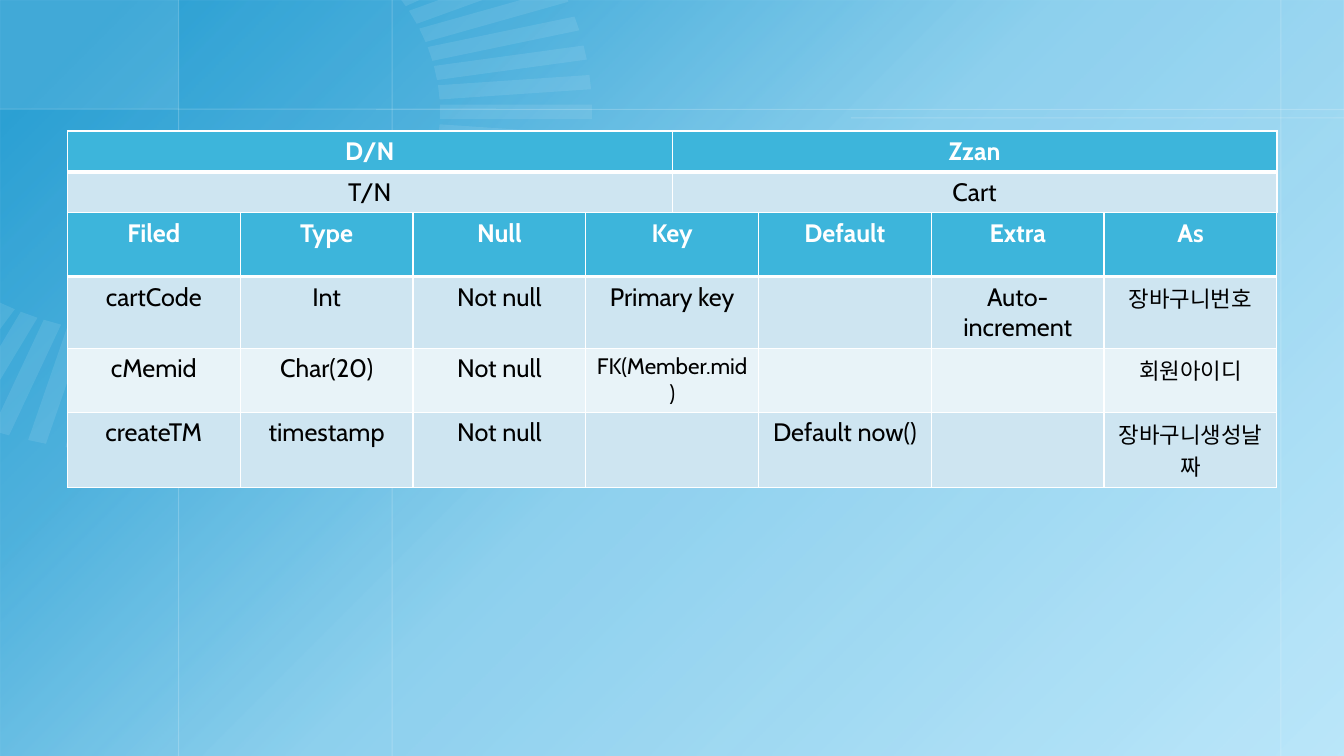
from dataclasses import dataclass
from math import cos, radians, sin

from lxml.etree import SubElement
from pptx import Presentation
from pptx.dml.color import RGBColor
from pptx.enum.shapes import MSO_CONNECTOR, MSO_SHAPE
from pptx.enum.text import PP_ALIGN
from pptx.oxml.ns import qn
from pptx.util import Cm, Pt


@dataclass(frozen=True)
class Theme:
    font: str = "Cabin"
    body_size: int = 18
    small_size: int = 16
    sky: str = "BCE7FA"
    deep_blue: str = "0F92CC"
    white: str = "FFFFFF"
    black: str = "000000"
    ray: str = "F2FAFE"
    header: str = "3DB5DB"
    bands: tuple = ("CEE5F1", "E8F3F8")
    thin: float = 1
    thick: float = 3
    guide: float = 0.75


SLIDE_WIDTH, SLIDE_HEIGHT = 33.87, 19.05
TABLE_LEFT, TABLE_WIDTH = 1.7, 30.48
NAME_ROWS = [["D/N", "Zzan"], ["T/N", "Cart"]]
FIELD_ROWS = [
    ["Filed", "Type", "Null", "Key", "Default", "Extra", "As"],
    ["cartCode", "Int", "Not null", "Primary key", "", "Auto-increment", "장바구니번호"],
    ["cMemid", "Char(20)", "Not null", "FK(Member.mid)", "", "", "회원아이디"],
    ["createTM", "timestamp", "Not null", "", "Default now()", "", "장바구니생성날짜"],
]
SMALL_TEXTS = {"장바구니번호", "FK(Member.mid)", "회원아이디", "장바구니생성날짜"}
# Gradient stops: position and opacity, both in percent
GLOW_STOPS = [(6, 83), (26, 63), (50, 27), (100, 0)]
GUIDE_LINES = [
    (4.5, 0, 4.5, SLIDE_HEIGHT),
    (32.28, 0, 32.28, SLIDE_HEIGHT),
    (9.88, 0, 9.88, SLIDE_HEIGHT),
    (0, 2.75, SLIDE_WIDTH, 2.76),
    (21.44, 2.97, SLIDE_WIDTH, 2.97),
]


def add_alpha(color_element, percent):
    SubElement(color_element, qn("a:alpha"), val=str(percent * 1000))


def clip_at_zero(points, axis):
    """Cut away the part of a polygon with negative coordinates on one axis."""
    kept = []
    for start, end in zip(points, points[1:] + points[:1]):
        if start[axis] >= 0:
            kept.append(start)
        if (start[axis] >= 0) != (end[axis] >= 0):
            share = start[axis] / (start[axis] - end[axis])
            kept.append(tuple(a + share * (b - a) for a, b in zip(start, end)))
    return kept


def ray_outline(degrees):
    """Corners of one dial ray: a bar on a circle, stretched sideways."""
    center_x, center_y, stretch = 3.81, 2.82, 1.29
    inner, outer, half_width = 5.64, 8.61, 0.18
    c, s = cos(radians(degrees)), sin(radians(degrees))
    bar = [(inner, -half_width), (outer, -half_width),
           (outer, half_width), (inner, half_width)]
    corners = [(center_x + stretch * (r * c - w * s), center_y + r * s + w * c)
               for r, w in bar]
    return clip_at_zero(clip_at_zero(corners, 0), 1)


class SlideBuilder:
    def __init__(self, slide, theme):
        self.slide = slide
        self.theme = theme

    def background(self):
        fill = self.slide.background.fill
        fill.solid()
        fill.fore_color.rgb = RGBColor.from_string(self.theme.sky)

    def paint(self, shape, color, opacity):
        shape.shadow.inherit = False
        shape.line.fill.background()
        shape.fill.solid()
        shape.fill.fore_color.rgb = RGBColor.from_string(color)
        add_alpha(shape._element.spPr.find(".//" + qn("a:srgbClr")), opacity)

    def rectangle(self, width, height):
        return self.slide.shapes.add_shape(
            MSO_SHAPE.RECTANGLE, 0, 0, Cm(width), Cm(height))

    def glow(self):
        glow = self.rectangle(SLIDE_WIDTH, SLIDE_HEIGHT)
        glow.shadow.inherit = False
        glow.line.fill.background()
        glow.fill.gradient()
        glow.fill.gradient_angle = 315
        stops = glow._element.spPr.find(".//" + qn("a:gsLst"))
        stops.clear()
        for position, opacity in GLOW_STOPS:
            stop = SubElement(stops, qn("a:gs"), pos=str(position * 1000))
            color = SubElement(stop, qn("a:srgbClr"), val=self.theme.deep_blue)
            add_alpha(color, opacity)

    def corner(self, width, height):
        self.paint(self.rectangle(width, height), self.theme.white, 10)

    def guide_line(self, x1, y1, x2, y2):
        guide = self.slide.shapes.add_connector(
            MSO_CONNECTOR.STRAIGHT, Cm(x1), Cm(y1), Cm(x2), Cm(y2))
        guide.line.width = Pt(self.theme.guide)
        guide.line.color.rgb = RGBColor.from_string(self.theme.white)
        properties = guide._element.spPr
        add_alpha(properties.find(".//" + qn("a:srgbClr")), 20)
        SubElement(properties, qn("a:effectLst"))

    def dial(self):
        dial = self.slide.shapes.add_group_shape()
        for degrees in range(-30, 121, 5):
            corners = [(Cm(x), Cm(y)) for x, y in ray_outline(degrees)]
            builder = dial.shapes.build_freeform(*corners[0])
            builder.add_line_segments(corners[1:], close=True)
            self.paint(builder.convert_to_shape(), self.theme.ray, 10)

    def table(self, rows, top, row_height):
        table = self.slide.shapes.add_table(
            len(rows), len(rows[0]), Cm(TABLE_LEFT), Cm(top),
            Cm(TABLE_WIDTH), Cm(row_height * len(rows))).table
        table.horz_banding = False
        for column in table.columns:
            column.width = Cm(TABLE_WIDTH / len(rows[0]))
        for r, texts in enumerate(rows):
            table.rows[r].height = Cm(row_height)
            for c, text in enumerate(texts):
                self.cell(table.cell(r, c), text, r)

    def cell(self, cell, text, row):
        theme = self.theme
        is_header = row == 0
        self.borders(cell, row)
        cell.fill.solid()
        cell.fill.fore_color.rgb = RGBColor.from_string(
            theme.header if is_header else theme.bands[(row - 1) % 2])
        cell.text_frame.text = text
        paragraph = cell.text_frame.paragraphs[0]
        paragraph.alignment = PP_ALIGN.CENTER
        for run in paragraph.runs:
            run.font.name = theme.font
            run.font.size = Pt(theme.small_size if text in SMALL_TEXTS else theme.body_size)
            run.font.bold = is_header
            run.font.color.rgb = RGBColor.from_string(
                theme.white if is_header else theme.black)

    def borders(self, cell, row):
        """Thin white borders, with a thick one between header and body."""
        properties = cell._tc.get_or_add_tcPr()
        thick_side = {0: "B", 1: "T"}.get(row)
        for side in "LRTB":
            width = self.theme.thick if side == thick_side else self.theme.thin
            border = SubElement(properties, qn(f"a:ln{side}"), w=str(Pt(width)))
            fill = SubElement(border, qn("a:solidFill"))
            SubElement(fill, qn("a:srgbClr"), val=self.theme.white)


def main():
    presentation = Presentation()
    presentation.slide_width = Cm(SLIDE_WIDTH)
    presentation.slide_height = Cm(SLIDE_HEIGHT)
    slide = presentation.slides.add_slide(presentation.slide_layouts[6])
    builder = SlideBuilder(slide, Theme())
    builder.background()
    builder.glow()
    builder.corner(4.5, 2.75)
    for ends in GUIDE_LINES:
        builder.guide_line(*ends)
    builder.dial()
    builder.table(NAME_ROWS, top=3.3, row_height=1.03)
    builder.table(FIELD_ROWS, top=5.36, row_height=1.61)
    presentation.save("out.pptx")


if __name__ == "__main__":
    main()
